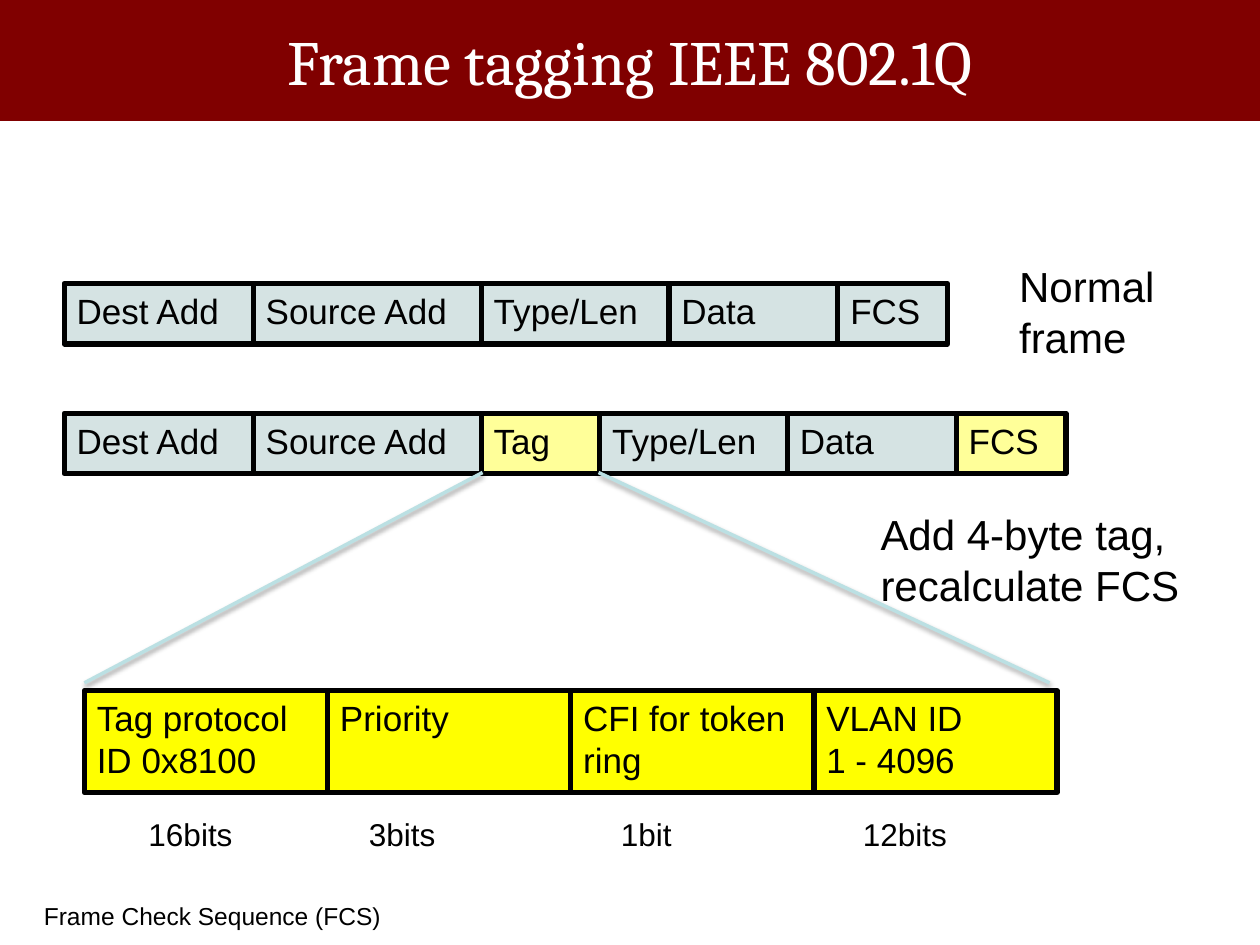
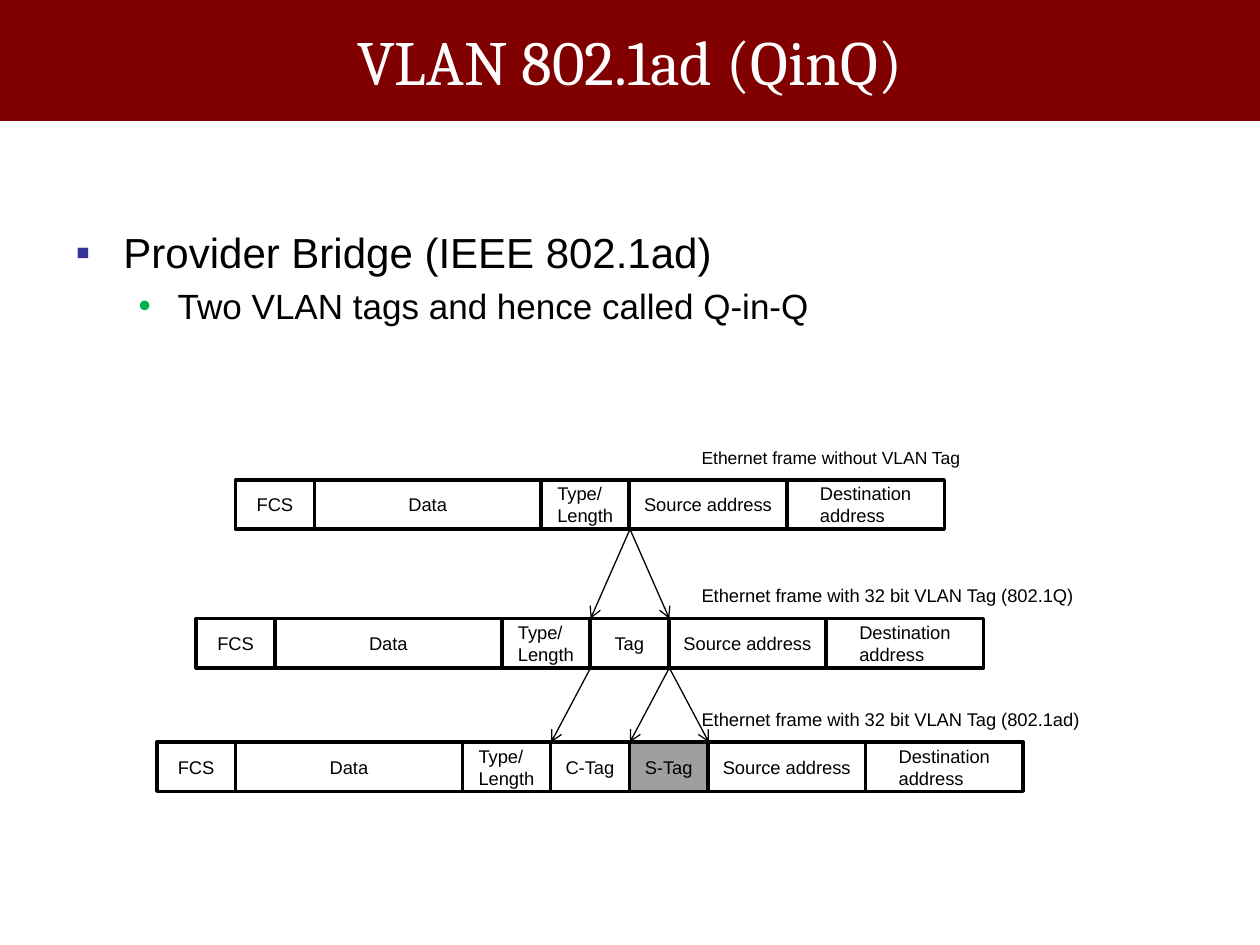
"""Build two slides on VLAN frame tagging: 802.1Q and 802.1ad."""
from itertools import accumulate

from lxml import etree
from pptx import Presentation
from pptx.dml.color import RGBColor
from pptx.enum.shapes import MSO_CONNECTOR, MSO_SHAPE
from pptx.enum.text import MSO_ANCHOR, PP_ALIGN
from pptx.oxml.ns import qn
from pptx.util import Inches, Pt

RECTANGLE = MSO_SHAPE.RECTANGLE
STRAIGHT = MSO_CONNECTOR.STRAIGHT
TOP, MIDDLE = MSO_ANCHOR.TOP, MSO_ANCHOR.MIDDLE
LEFT, CENTER = PP_ALIGN.LEFT, PP_ALIGN.CENTER

MAROON = RGBColor(0x80, 0x00, 0x00)
WHITE = RGBColor(0xFF, 0xFF, 0xFF)
BLACK = RGBColor(0x00, 0x00, 0x00)
TEAL = RGBColor(0x98, 0xBB, 0xBA)
YELLOW = RGBColor(0xFF, 0xFF, 0x00)
GRAY = RGBColor(0x80, 0x80, 0x80)
PALE_BLUE = RGBColor(0xBB, 0xE0, 0xE3)
INDIGO = RGBColor(0x33, 0x33, 0x99)
GREEN = RGBColor(0x00, 0xB0, 0x50)

BODY_FONT, TITLE_FONT = "Arial", "Cambria"
CONTENT_LAYOUT, TITLE_ONLY_LAYOUT = 1, 5

FIELD_WIDTHS = {
    "Dest Add": 1.5, "Source Add": 1.81, "Tag": 0.94,
    "Type/Len": 1.49, "Data": 1.34, "FCS": 0.87,
}
TAG_PARTS = ["Tag protocol ID 0x8100", "Priority", "CFI for token ring", "VLAN ID\v1 - 4096"]
BIT_LABELS = [(1.08, 0.88, "16bits"), (2.83, 0.74, "3bits"),
              (4.83, 0.61, "1bit"), (6.75, 0.88, "12bits")]

TAG_WIDTH = 5 / 8
HALF_TAG = TAG_WIDTH / 2
QINQ_WIDTHS = {"FCS": TAG_WIDTH, "Data": 1.8, "Type/ Length": 0.7,
               "Source address": 1.25, "Destination address": 1.25}
QINQ_ROWS = [
    (3.81, [], 3.5, 2.97, 10, "Ethernet frame without VLAN Tag"),
    (4.91, ["Tag"], 4.59, 3.2, 10.5, "Ethernet frame with 32 bit VLAN Tag (802.1Q)"),
    (5.89, ["C-Tag", "S-Tag"], 5.57, 3.36, 10.5, "Ethernet frame with 32 bit VLAN Tag (802.1ad)"),
]
QINQ_ARROWS = [(4.2, 4.91, [(0, -1), (0, 1)]),
               (5.3, 5.89, [(-1, -2), (1, 0), (1, 2)])]
BULLETS = [
    ("Provider Bridge (IEEE 802.1ad)", 24, 0.38, 0.38, "▪", INDIGO),
    ("Two VLAN tags and hence called Q-in-Q", 20, 0.81, 0.31, "•", GREEN),
]


class SlideBuilder:
    """Hold the shared style and the current page."""

    def __init__(self, deck):
        self.deck = deck
        self.page = None

    def start_page(self, title, layout):
        self.page = self.deck.slides.add_slide(self.deck.slide_layouts[layout])
        band = self.box(0, 0, 10, 0.95, MAROON, MAROON, 2)
        self.page.shapes._spTree.insert(2, band._element)
        heading = self.page.shapes.title
        self.place(heading, 0.5, 0.08, 9, 0.79)
        self.set_text(heading, title, 36, MIDDLE, CENTER, TITLE_FONT, WHITE)

    def place(self, shape, left, top, width, height):
        shape.left, shape.top = Inches(left), Inches(top)
        shape.width, shape.height = Inches(width), Inches(height)

    def set_text(self, shape, text, size, anchor=TOP, align=LEFT, font=BODY_FONT,
                 color=BLACK, wrap=True):
        frame = shape.text_frame
        frame.text = text
        frame.word_wrap = wrap
        frame.vertical_anchor = anchor
        for para in frame.paragraphs:
            para.alignment = align
            self.style_runs(para, size, font, color)

    def style_runs(self, para, size, font=BODY_FONT, color=BLACK):
        for span in para.runs:
            span.font.size = Pt(size)
            span.font.name = font
            span.font.color.rgb = color

    def box(self, left, top, width, height, fill, line, weight, opacity=100):
        box = self.page.shapes.add_shape(
            RECTANGLE, Inches(left), Inches(top), Inches(width), Inches(height))
        box.shadow.inherit = False
        box.line.color.rgb = line
        box.line.width = Pt(weight)
        if fill is None:
            box.fill.background()
            return box
        box.fill.solid()
        box.fill.fore_color.rgb = fill
        if opacity < 100:
            tint = box._element.spPr.find(qn("a:solidFill"))[0]
            etree.SubElement(tint, qn("a:alpha"), val=str(opacity * 1000))
        return box

    def field(self, left, top, width, height, text, fill, opacity=100):
        box = self.box(left, top, width, height, fill, BLACK, 3, opacity)
        self.set_text(box, text, 20)

    def small_field(self, left, top, width, text):
        fill = GRAY if text == "S-Tag" else None
        box = self.box(left, top, width, 0.39, fill, BLACK, 2, 75)
        self.set_text(box, text, 10.5, MIDDLE)
        box.text_frame._txBody.bodyPr.set("anchorCtr", "1")

    def label(self, left, top, width, height, text, size, wrap=True):
        box = self.page.shapes.add_textbox(
            Inches(left), Inches(top), Inches(width), Inches(height))
        self.set_text(box, text, size, wrap=wrap)

    def line(self, start, end, color, weight, arrow=False, shadow=False):
        ends = [Inches(value) for value in (*start, *end)]
        line = self.page.shapes.add_connector(STRAIGHT, *ends)
        line.line.color.rgb = color
        line.line.width = Pt(weight)
        properties = line._element.spPr
        if arrow:
            etree.SubElement(properties.find(qn("a:ln")), qn("a:tailEnd"), type="arrow")
        effects = etree.SubElement(properties, qn("a:effectLst"))
        if shadow:
            cast = etree.SubElement(effects, qn("a:outerShdw"), blurRad=str(Pt(3.1)),
                                    dist=str(Pt(1.6)), dir="5400000", rotWithShape="0")
            shade = etree.SubElement(cast, qn("a:srgbClr"), val=str(BLACK))
            etree.SubElement(shade, qn("a:alpha"), val="38000")

    def bullets(self, items, left, top, width, height):
        body = self.page.placeholders[1]
        self.place(body, left, top, width, height)
        frame = body.text_frame
        frame.text = "\n".join(item[0] for item in items)
        for level, (para, item) in enumerate(zip(frame.paragraphs, items)):
            _, size, indent, hanging, mark, color = item
            para.level = level
            self.style_runs(para, size)
            properties = para._p.get_or_add_pPr()
            properties.set("marL", str(Inches(indent)))
            properties.set("indent", str(-Inches(hanging)))
            tint = etree.SubElement(properties, qn("a:buClr"))
            etree.SubElement(tint, qn("a:srgbClr"), val=str(color))
            etree.SubElement(properties, qn("a:buFont"), typeface=BODY_FONT)
            etree.SubElement(properties, qn("a:buChar"), char=mark)


def left_edges(start, widths):
    return accumulate(widths[:-1], initial=start)


def build_tagging_page(builder):
    builder.start_page("Frame tagging IEEE 802.1Q", TITLE_ONLY_LAYOUT)
    plain = [name for name in FIELD_WIDTHS if name != "Tag"]
    for top, names, changed in [(2.25, plain, ()), (3.28, list(FIELD_WIDTHS), ("Tag", "FCS"))]:
        widths = [FIELD_WIDTHS[name] for name in names]
        for left, width, name in zip(left_edges(0.51, widths), widths, names):
            fill = YELLOW if name in changed else TEAL
            builder.field(left, top, width, 0.48, name, fill, 40)
    builder.label(7.99, 2.02, 1.73, 0.9, "Normal frame", 24)
    builder.label(6.89, 3.99, 2.76, 0.9, "Add 4-byte tag, recalculate FCS", 24)
    for column, text in enumerate(TAG_PARTS):
        builder.field(0.67 + 1.93 * column, 5.48, 1.93, 0.81, text, YELLOW)
    for left, width, text in BIT_LABELS:
        builder.label(left, 6.42, width, 0.4, text, 18, wrap=False)
    for start, end in [(3.83, 0.67), (4.75, 8.33)]:
        builder.line((start, 3.75), (end, 5.42), PALE_BLUE, 2, shadow=True)
    builder.label(0.25, 7.1, 2.9, 0.34, "Frame Check Sequence (FCS)", 14, wrap=False)


def build_qinq_page(builder):
    builder.start_page("VLAN 802.1ad (QinQ)", CONTENT_LAYOUT)
    builder.bullets(BULLETS, 0.5, 1.75, 9.08, 1)
    fields = list(QINQ_WIDTHS)
    for top, tags, label_top, label_width, size, caption in QINQ_ROWS:
        names = fields[:3] + tags + fields[3:]
        widths = [QINQ_WIDTHS.get(name, TAG_WIDTH) for name in names]
        start = 1.87 - HALF_TAG * len(tags)
        for left, width, name in zip(left_edges(start, widths), widths, names):
            builder.small_field(left, top, width, name)
        builder.label(5.47, label_top, label_width, 0.27, caption, size)
    for top, bottom, arrows in QINQ_ARROWS:
        for start, end in arrows:
            builder.line((5 + HALF_TAG * start, top), (5 + HALF_TAG * end, bottom),
                         BLACK, 0.75, arrow=True)


def main():
    deck = Presentation()
    deck.slide_width, deck.slide_height = Inches(10), Inches(7.5)
    builder = SlideBuilder(deck)
    build_tagging_page(builder)
    build_qinq_page(builder)
    deck.save("out.pptx")


if __name__ == "__main__":
    main()
